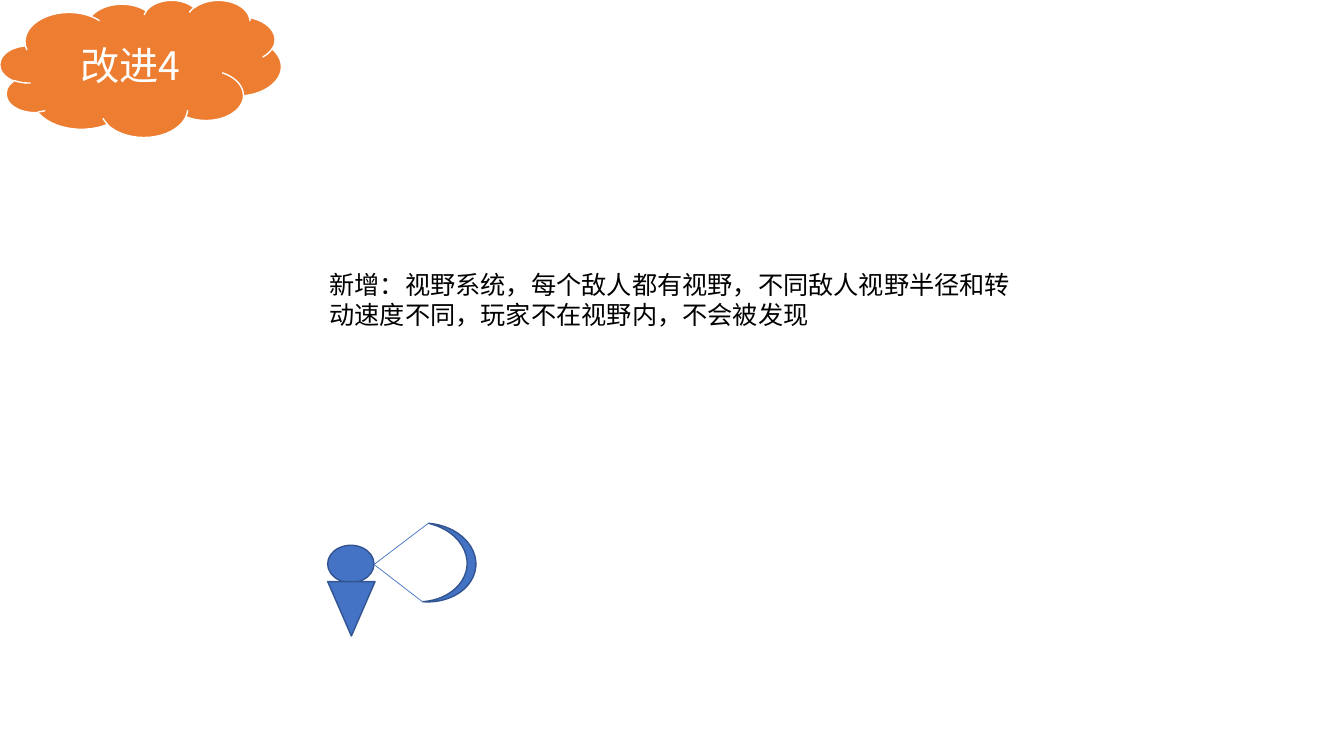
from dataclasses import dataclass

from lxml.etree import SubElement
from pptx import Presentation
from pptx.dml.color import RGBColor
from pptx.enum.shapes import MSO_CONNECTOR, MSO_SHAPE
from pptx.enum.text import MSO_ANCHOR, MSO_AUTO_SIZE, PP_ALIGN
from pptx.oxml.ns import qn
from pptx.util import Emu, Pt

PX = 9144  # EMU per px, 100 px to the inch
FONT = "Noto Sans CJK SC"
ORANGE = RGBColor(0xED, 0x7D, 0x31)
BLUE = RGBColor(0x44, 0x72, 0xC4)
NAVY = RGBColor(0x32, 0x54, 0x91)
WHITE = RGBColor(0xFF, 0xFF, 0xFF)
BLACK = RGBColor(0x00, 0x00, 0x00)


@dataclass
class Figure:
    kind: MSO_SHAPE
    box: tuple[int, int, int, int]
    fill: RGBColor = BLUE
    line: RGBColor = NAVY
    rotation: float = 0


CLOUD = Figure(MSO_SHAPE.CLOUD, (0, 0, 279, 136), ORANGE, WHITE)
HEAD = Figure(MSO_SHAPE.OVAL, (325, 541, 46, 37))
BODY = Figure(MSO_SHAPE.ISOSCELES_TRIANGLE, (325, 577, 47, 54), rotation=180)
VIEW_ARC = Figure(MSO_SHAPE.MOON, (422, 521, 50, 78), rotation=184.4)
EYE = (371, 560)
VIEW_EDGES = [(419, 597), (425, 519)]


def px(*lengths: int) -> list[Emu]:
    return [Emu(n * PX) for n in lengths]


def add_figure(shapes, fig: Figure):
    sp = shapes.add_shape(fig.kind, *px(*fig.box))
    sp.shadow.inherit = False
    sp.fill.solid()
    sp.fill.fore_color.rgb = fig.fill
    sp.line.color.rgb = fig.line
    sp.line.width = Pt(1)
    sp.rotation = fig.rotation
    return sp


def add_sight_line(shapes, start: tuple[int, int], end: tuple[int, int]) -> None:
    cxn = shapes.add_connector(MSO_CONNECTOR.STRAIGHT, *px(*start, *end))
    cxn.line.color.rgb = BLUE
    cxn.line.width = Pt(0.5)
    SubElement(cxn._element.spPr, qn("a:effectLst"))


def write(tf, text: str, size: int, color: RGBColor, align: PP_ALIGN, **frame) -> None:
    for name, value in {"word_wrap": True, **frame}.items():
        setattr(tf, name, value)
    p = tf.paragraphs[0]
    p.alignment = align
    r = p.add_run()
    r.text = text
    for name, value in {"size": Pt(size), "name": FONT}.items():
        setattr(r.font, name, value)
    r.font.color.rgb = color
    SubElement(r._r.get_or_add_rPr(), qn("a:ea"), typeface=FONT)


def main() -> None:
    prs = Presentation()
    prs.slide_width, prs.slide_height = px(1333, 750)
    s = prs.slides.add_slide(prs.slide_layouts[6])

    cloud = add_figure(s.shapes, CLOUD)
    write(cloud.text_frame, "改进4", 28, WHITE, PP_ALIGN.CENTER,
          vertical_anchor=MSO_ANCHOR.MIDDLE)

    note = s.shapes.add_textbox(*px(317, 262, 708, 71))
    write(note.text_frame,
          "新增：视野系统，每个敌人都有视野，不同敌人视野半径和转动速度不同，"
          "玩家不在视野内，不会被发现",
          18, BLACK, PP_ALIGN.LEFT, auto_size=MSO_AUTO_SIZE.SHAPE_TO_FIT_TEXT)

    for fig in (HEAD, BODY):
        add_figure(s.shapes, fig)

    view = s.shapes.add_group_shape()
    arc = add_figure(view.shapes, VIEW_ARC)
    arc.adjustments[0] = 0.175
    for edge in VIEW_EDGES:
        add_sight_line(view.shapes, edge, EYE)

    prs.save("out.pptx")


if __name__ == "__main__":
    main()
